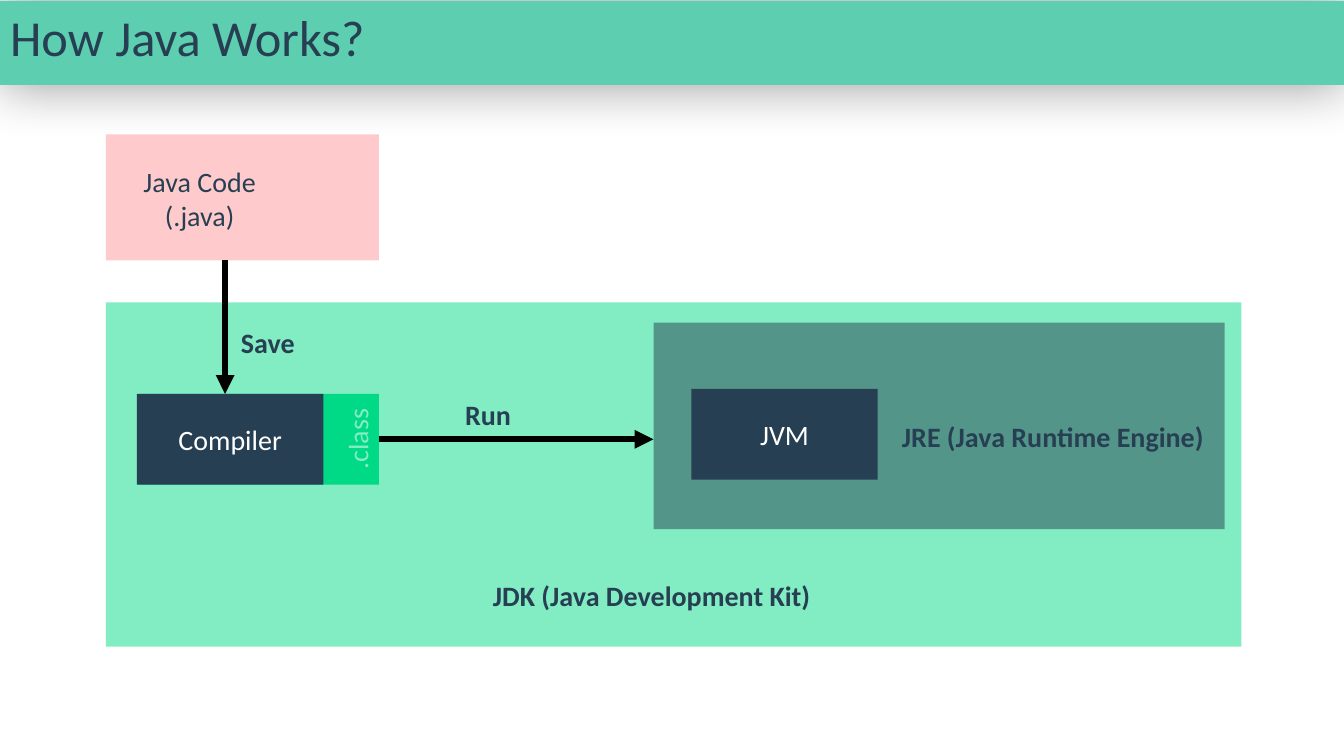
from collections import namedtuple
from dataclasses import dataclass

from lxml import etree
from pptx import Presentation
from pptx.dml.color import RGBColor
from pptx.enum.shapes import MSO_CONNECTOR, MSO_SHAPE
from pptx.enum.text import MSO_ANCHOR, MSO_AUTO_SIZE, PP_ALIGN
from pptx.oxml.ns import qn
from pptx.util import Inches, Pt

RECTANGLE = MSO_SHAPE.RECTANGLE
STRAIGHT = MSO_CONNECTOR.STRAIGHT
TOP, MIDDLE, BOTTOM = MSO_ANCHOR.TOP, MSO_ANCHOR.MIDDLE, MSO_ANCHOR.BOTTOM
LEFT, CENTER = PP_ALIGN.LEFT, PP_ALIGN.CENTER
FIT_SHAPE = MSO_AUTO_SIZE.SHAPE_TO_FIT_TEXT
TITLE_ONLY = 5

# The slide is a grid of 160 columns by 90 rows with square cells
CELL = Inches(7.5) / 90
LABEL_HEIGHT = 5.3
STEP_SIZE = (22.2, 10.8)


@dataclass(frozen=True)
class Theme:
    font: str = "Calibri"
    title_size: int = 36
    text_size: int = 20
    arrow_width: float = 4.5
    navy: str = "273F52"
    white: str = "FFFFFF"
    black: str = "000000"
    teal: str = "5DCEAF"
    green: str = "00D986"
    pink: str = "FF7C80"


THEME = Theme()


class Box(namedtuple("Box", "left top width height")):
    @property
    def right(self):
        return self.left + self.width

    @property
    def bottom(self):
        return self.top + self.height

    def inside(self, left, top, width, height):
        return Box(self.left + left, self.top + top, width, height)


def cells(*lengths):
    return [round(length * CELL) for length in lengths]


def color(value):
    return RGBColor.from_string(value)


def fill_shape(shape, fill, opacity=100):
    shape.fill.solid()
    shape.fill.fore_color.rgb = color(fill)
    shape.line.fill.background()
    if opacity < 100:
        value = shape.fill._xPr.find(".//" + qn("a:srgbClr"))
        etree.SubElement(value, qn("a:alpha"), val=str(opacity * 1000))


def write(shape, *lines, size=THEME.text_size, fill=THEME.navy, bold=False,
          aligns=(LEFT,), anchor=TOP, wrap=True, fit=False, vertical=None):
    frame = shape.text_frame
    frame.word_wrap = wrap
    frame.vertical_anchor = anchor
    if fit:
        frame.auto_size = FIT_SHAPE
    if vertical:
        frame._txBody.bodyPr.set("vert", vertical)
    frame.text = "\n".join(lines)
    for paragraph, align in zip(frame.paragraphs, aligns):
        paragraph.alignment = align
        for run in paragraph.runs:
            run.font.name = THEME.font
            run.font.size = Pt(size)
            run.font.bold = bold
            run.font.color.rgb = color(fill)


def add_panel(slide, box, fill, opacity=100):
    shape = slide.shapes.add_shape(RECTANGLE, *cells(*box))
    shape.shadow.inherit = False
    fill_shape(shape, fill, opacity)
    return shape


def add_step(slide, box, text):
    shape = add_panel(slide, box, THEME.navy)
    write(shape, text, fill=THEME.white, aligns=(CENTER,), anchor=MIDDLE)


def add_label(slide, box, *lines, **text_format):
    shape = slide.shapes.add_textbox(*cells(*box))
    write(shape, *lines, wrap=False, fit=True, **text_format)


def add_arrow(slide, start, end):
    arrow = slide.shapes.add_connector(STRAIGHT, *cells(*start, *end))
    arrow.line.color.rgb = color(THEME.black)
    arrow.line.width = Pt(THEME.arrow_width)
    etree.SubElement(arrow.line._get_or_add_ln(), qn("a:tailEnd"), type="triangle")
    etree.SubElement(arrow._element.spPr, qn("a:effectLst"))


def build_title(slide, box):
    title = slide.shapes.title
    title.left, title.top, title.width, title.height = cells(*box)
    fill_shape(title, THEME.teal)
    write(title, "How Java Works?", size=THEME.title_size, fit=True)
    # Soft shadow under the bar
    effects = etree.SubElement(title._element.spPr, qn("a:effectLst"))
    shadow = etree.SubElement(effects, qn("a:outerShdw"), blurRad=str(Pt(39)),
                              dist="0", dir="0", rotWithShape="0")
    shade = etree.SubElement(shadow, qn("a:srgbClr"), val=THEME.black)
    etree.SubElement(shade, qn("a:alpha"), val="40000")


def build_source_code(slide, box):
    add_panel(slide, box, THEME.pink, opacity=40)
    add_label(slide, box.inside(3.3, 3, 16, 9.2), "Java Code", "(.java)",
              aligns=(LEFT, CENTER))


def build_runtime(slide, box):
    add_panel(slide, box, THEME.navy, opacity=50)
    add_step(slide, box.inside(4.5, 7.9, *STEP_SIZE), "JVM")
    add_label(slide, box.inside(28.4, 10.9, 38.6, LABEL_HEIGHT),
              "JRE (Java Runtime Engine)", bold=True)


def build_development_kit(slide, box, source):
    compiler = box.inside(3.7, 10.9, *STEP_SIZE)
    class_file = box.inside(4, 10.9, 28.5, compiler.height)
    runtime = box.inside(65.2, 2.4, 68, 24.6)

    # Class file, tinted by the kit panel over it
    shape = add_panel(slide, class_file, THEME.green)
    write(shape, ".class", fill=THEME.white, aligns=(CENTER,), anchor=BOTTOM,
          vertical="vert270")
    add_panel(slide, box, THEME.green, opacity=49)
    add_step(slide, compiler, "Compiler")
    build_runtime(slide, runtime)

    # Arrows between the steps
    save_column = box.left + 14.2
    run_row = compiler.top + compiler.height / 2
    add_arrow(slide, (save_column, source.bottom), (save_column, compiler.top))
    add_arrow(slide, (class_file.right, run_row), (runtime.left, run_row))

    # Labels
    for text, left, top, width in (
        ("Save", 14.9, 2.2, 8.9),
        ("Run", 41.6, 10.7, 7.9),
        ("JDK (Java Development Kit)", 44.9, 32.3, 40.6),
    ):
        add_label(slide, box.inside(left, top, width, LABEL_HEIGHT), text, bold=True)


def main():
    presentation = Presentation()
    presentation.slide_width, presentation.slide_height = cells(160, 90)
    slide = presentation.slides.add_slide(presentation.slide_layouts[TITLE_ONLY])
    source = Box(12.6, 16, 32.5, 15)
    build_title(slide, Box(0, 0.1, 160, 8.5))
    build_source_code(slide, source)
    build_development_kit(slide, Box(12.6, 36, 135.2, 41), source)
    presentation.save("out.pptx")


if __name__ == "__main__":
    main()
